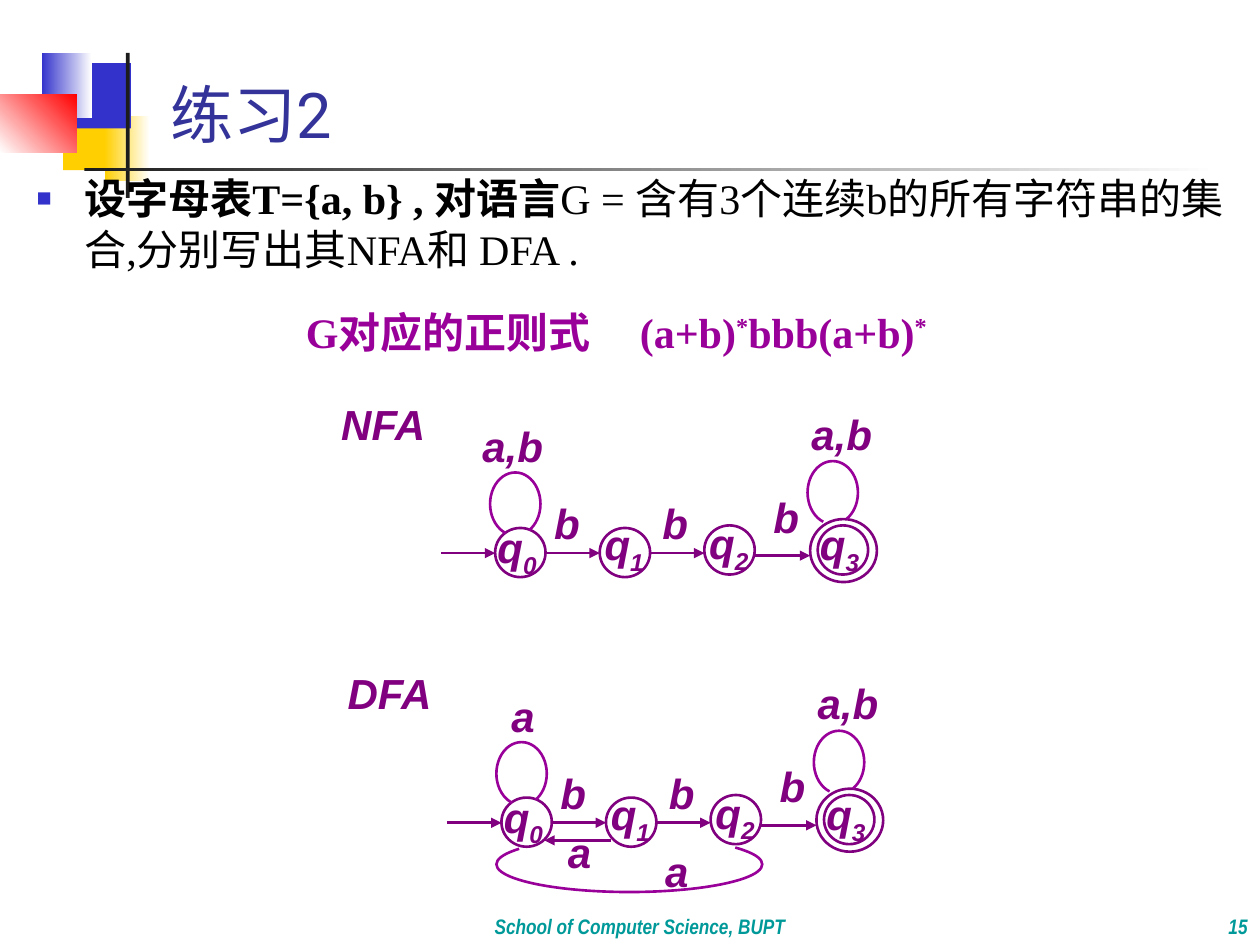
from dataclasses import dataclass

from lxml.etree import SubElement
from pptx import Presentation
from pptx.dml.color import RGBColor
from pptx.enum.shapes import MSO_CONNECTOR, MSO_SHAPE
from pptx.enum.text import MSO_ANCHOR, MSO_AUTO_SIZE, PP_ALIGN
from pptx.oxml.ns import qn
from pptx.util import Inches, Pt


@dataclass(frozen=True)
class Theme:
    """Colours, fonts and type sizes of the slide."""
    white: str = "FFFFFF"
    black: str = "000000"
    ink: str = "1C1C1C"
    gold: str = "FFCF01"
    blue: str = "3333CC"
    red: str = "FF0000"
    title: str = "333399"
    footer: str = "009999"
    state: str = "800080"
    loop: str = "990099"
    title_font: str = "Roboto"
    body_font: str = "Times New Roman"
    label_font: str = "Arial"
    footer_font: str = "Arial Narrow"
    title_size: int = 36
    body_size: int = 24
    footer_size: int = 12
    line: float = 1.5


T = Theme()
STATES = [(3.93, 4.19), (4.76, 4.19), (5.59, 4.17), (6.49, 4.17)]
STATE_LABELS = [(3.85, 4.09), (4.7, 4.07), (5.53, 4.06), (6.41, 4.07)]
STEPS = [(3.5, 3.93, 4.39), (4.33, 4.76, 4.39), (5.16, 5.59, 4.39), (5.99, 6.43, 4.41)]
STEP_LABELS = [(4.3, 3.9), (5.16, 3.9), (6.04, 3.85)]
LOOPS = [(3.89, 3.75), (6.41, 3.66)]


def rgb(color):
    """Turn a hex string into a colour."""
    return RGBColor.from_string(color)


def add_run(p, text, font, size, color, bold=False, italic=False, baseline=None):
    """Add one formatted run to a paragraph."""
    r = p.add_run()
    r.text = text
    r.font.name, r.font.size = font, Pt(size)
    r.font.bold, r.font.italic = bold, italic
    r.font.color.rgb = rgb(color)
    if baseline:
        r.font._element.set("baseline", str(baseline * 1000))


def add_text(shapes, x, y, w, h=0.5, anchor=MSO_ANCHOR.TOP, align=PP_ALIGN.LEFT):
    """Add a wrapping text box and return its first paragraph."""
    tf = shapes.add_textbox(Inches(x), Inches(y), Inches(w), Inches(h)).text_frame
    tf.word_wrap, tf.vertical_anchor = True, anchor
    p = tf.paragraphs[0]
    p.alignment = align
    return p


def add_label(shapes, x, y, w, text, sub=None):
    """Add a diagram label with an optional subscript."""
    p = add_text(shapes, x, y, w)
    for part, baseline in ((text, None), (sub, -25)):
        if part:
            add_run(p, part, T.label_font, T.body_size, T.state, True, True, baseline)


def add_block(shapes, x, y, w, h, color, end=None, angle=0):
    """Add a borderless rectangle with a solid or gradient fill."""
    sp = shapes.add_shape(MSO_SHAPE.RECTANGLE, Inches(x), Inches(y), Inches(w), Inches(h))
    sp.shadow.inherit = False
    sp.line.fill.background()
    if end is None:
        sp.fill.solid()
        sp.fill.fore_color.rgb = rgb(color)
        return
    sp.fill.gradient()
    sp.fill.gradient_angle = angle
    for stop, stop_color in zip(sp.fill.gradient_stops, (color, end)):
        stop.color.rgb = rgb(stop_color)


def add_circle(shapes, x, y, w, h):
    """Add the outline of a state."""
    sp = shapes.add_shape(MSO_SHAPE.OVAL, Inches(x), Inches(y), Inches(w), Inches(h))
    sp.shadow.inherit = False
    sp.fill.solid()
    sp.fill.fore_color.rgb = rgb(T.white)
    sp.line.color.rgb, sp.line.width = rgb(T.state), Pt(T.line)


def add_arc(shapes, x, y, w, h, start, end):
    """Add an open arc running clockwise between two angles in degrees."""
    sp = shapes.add_shape(MSO_SHAPE.ARC, Inches(x), Inches(y), Inches(w), Inches(h))
    sp.shadow.inherit = False
    sp.fill.background()
    sp.line.color.rgb, sp.line.width = rgb(T.loop), Pt(T.line)
    for i, angle in enumerate((start, end)):
        sp.adjustments[i] = angle * 0.6


def add_arrow(shapes, x1, x2, y):
    """Add a horizontal transition arrow."""
    c = shapes.add_connector(MSO_CONNECTOR.STRAIGHT, Inches(x1), Inches(y), Inches(x2), Inches(y))
    c.line.color.rgb, c.line.width = rgb(T.state), Pt(T.line)
    SubElement(c.line._get_or_add_ln(), qn("a:tailEnd"), type="triangle")
    SubElement(c.element.spPr, qn("a:effectLst"))


def add_automaton(s, dx, dy, name, loop_label, loop_label_x):
    """Draw the four-state chain shared by both automata and return its group."""
    shapes = s.shapes.add_group_shape().shapes
    add_circle(shapes, 6.43 + dx, 4.12 + dy, 0.53, 0.5)
    for x, y in STATES:
        add_circle(shapes, x + dx, y + dy, 0.4, 0.39)
    for x1, x2, y in STEPS:
        add_arrow(shapes, x1 + dx, x2 + dx, y + dy)
    for x, y in LOOPS:
        add_arc(shapes, x + dx, y + dy, 0.4, 0.5, 108, 62)
    for x, y in STEP_LABELS:
        add_label(shapes, x + dx, y + dy, 0.4, "b")
    for i, (x, y) in enumerate(STATE_LABELS):
        add_label(shapes, x + dx, y + dy, 0.57, "q", str(i))
    add_label(shapes, loop_label_x + dx, 3.29 + dy, 0.75, loop_label)
    add_label(shapes, 6.34 + dx, 3.19 + dy, 0.75, "a,b")
    add_label(shapes, 2.61 + dx, 3.11 + dy, 1.01, name)
    return shapes


def add_decoration(s):
    """Draw the coloured blocks and rules beside the title."""
    add_block(s.shapes, 0.5, 0.83, 0.48, 0.52, T.gold)
    add_block(s.shapes, 0.83, 0.92, 0.36, 0.52, T.gold, T.white)
    add_block(s.shapes, 0.58, 0.5, 0.46, 0.52, T.blue)
    add_block(s.shapes, 0.33, 0.42, 0.4, 0.52, T.blue, T.white)
    add_block(s.shapes, 0, 0.75, 0.61, 0.46, T.white, T.red, 45)
    add_block(s.shapes, 1, 0.42, 0.03, 1.15, T.ink)
    add_block(s.shapes, 0.67, 1.33, 9, 0.03, T.ink, T.white)


def place(sp, x, y, w, h, anchor):
    """Move a placeholder to the front and return its first paragraph."""
    sp.left, sp.top, sp.width, sp.height = map(Inches, (x, y, w, h))
    sp.element.getparent().append(sp.element)
    tf = sp.text_frame
    tf.auto_size, tf.vertical_anchor = MSO_AUTO_SIZE.NONE, anchor
    p = tf.paragraphs[0]
    p.alignment, p.space_before = PP_ALIGN.LEFT, Pt(0)
    return p


def add_bullet(p):
    """Give a paragraph a small square bullet with a hanging indent."""
    pPr = p._p.get_or_add_pPr()
    pPr.set("marL", str(Inches(0.38)))
    pPr.set("indent", str(-Inches(0.38)))
    SubElement(SubElement(pPr, qn("a:buClr")), qn("a:srgbClr"), val=T.blue)
    SubElement(pPr, qn("a:buSzPct"), val="60000")
    SubElement(pPr, qn("a:buChar"), char="■")


def add_formula(s):
    """Write the regular expression after a tab stop."""
    p = add_text(s.shapes, 2.33, 2.38, 5.88)
    tabs = SubElement(p._p.get_or_add_pPr(), qn("a:tabLst"))
    SubElement(tabs, qn("a:tab"), pos=str(Inches(2.65)), algn="l")
    for text, base in (("G对应的正则式\t(a+b)", None), ("*", 30), ("bbb(a+b)", None), ("*", 30)):
        add_run(p, text, T.body_font, T.body_size, T.loop, True, baseline=base)


def add_footer(s, x, w, text, align):
    """Add one footer item."""
    p = add_text(s.shapes, x, 7, w, anchor=MSO_ANCHOR.BOTTOM, align=align)
    add_run(p, text, T.footer_font, T.footer_size, T.footer, True, True)


def main():
    """Build the slide and save it."""
    prs = Presentation()
    prs.slide_width, prs.slide_height = Inches(10), Inches(7.5)
    s = prs.slides.add_slide(prs.slide_layouts[1])
    add_decoration(s)
    p = place(s.shapes.title, 1.25, 0.33, 8.52, 0.92, MSO_ANCHOR.BOTTOM)
    add_run(p, "练习2", T.title_font, T.title_size, T.title)
    p = place(s.placeholders[1], 0.19, 1.32, 9.65, 1.66, MSO_ANCHOR.TOP)
    add_bullet(p)
    add_run(p, "设字母表T={a, b} , 对语言", T.body_font, T.body_size, T.black, True)
    add_run(p, "G = 含有3个连续b的所有字符串的集合,分别写出其NFA和 DFA .",
            T.body_font, T.body_size, T.black)
    add_footer(s, 8.33, 1.67, "15", PP_ALIGN.RIGHT)
    add_footer(s, 1.58, 7, "School of Computer Science, BUPT", PP_ALIGN.CENTER)
    add_automaton(s, 0, 0, "NFA", "a,b", 3.73)
    add_formula(s)
    dfa = add_automaton(s, 0.05, 2.14, "DFA", "a", 3.91)
    add_arc(dfa, 3.94, 6.64, 2.11, 0.44, 351, 188)
    add_arrow(dfa, 4.85, 4.32, 6.67)
    add_label(dfa, 4.41, 6.51, 0.43, "a")
    add_label(dfa, 5.18, 6.66, 0.51, "a")
    prs.save("out.pptx")


if __name__ == "__main__":
    main()
